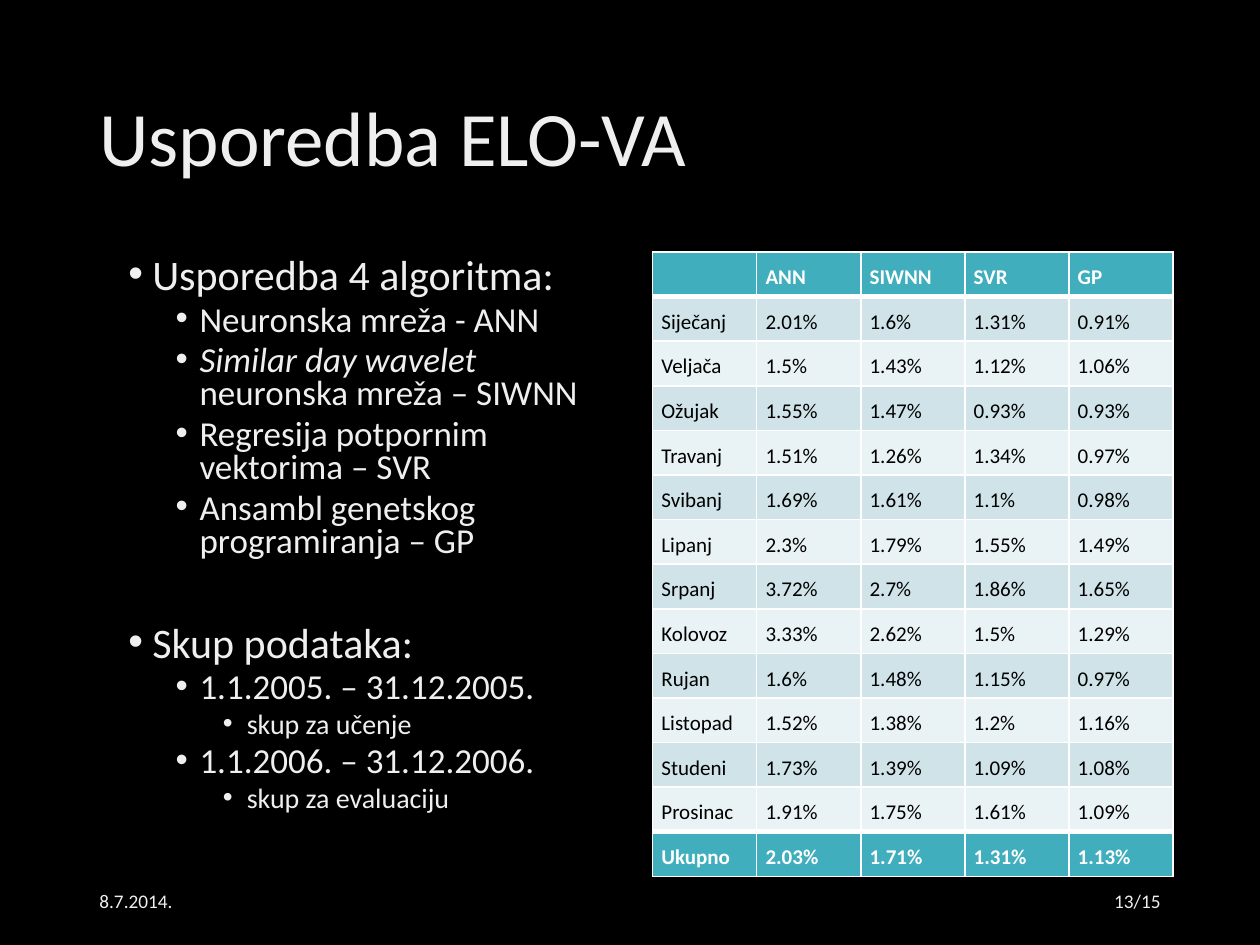
from dataclasses import dataclass

from lxml import etree
from pptx import Presentation
from pptx.dml.color import RGBColor
from pptx.enum.text import MSO_ANCHOR, PP_ALIGN
from pptx.oxml.ns import qn
from pptx.util import Inches, Pt

LEFT, RIGHT, JUSTIFY = PP_ALIGN.LEFT, PP_ALIGN.RIGHT, PP_ALIGN.JUSTIFY
TOP, MIDDLE = MSO_ANCHOR.TOP, MSO_ANCHOR.MIDDLE

BLACK = RGBColor(0x00, 0x00, 0x00)
WHITE = RGBColor(0xFF, 0xFF, 0xFF)
PALE = RGBColor(0xEF, 0xEF, 0xEF)
TEAL = RGBColor(0x41, 0xAE, 0xBD)
BANDS = RGBColor(0xCF, 0xE3, 0xE8), RGBColor(0xE9, 0xF2, 0xF4)
FONT = "Calibri"


@dataclass
class Label:
    text: str
    box: tuple[float, float, float, float]
    size: int
    align: PP_ALIGN = LEFT
    spacing: float = 1.0


@dataclass
class Item:
    text: str
    level: int = 0
    lead: str = ""  # italic opening words
    before: float = 0


LABELS = [
    Label("Usporedba ELO-VA", (0.69, 0.4, 8.62, 1.45), 44, spacing=0.9),
    Label("8.7.2014.", (0.69, 6.95, 2.25, 0.4), 11),
    Label("13/15", (7.06, 6.95, 2.25, 0.4), 11, RIGHT),
]

SIZES = 24, 20, 16
GAPS = 7.5, 3.8, 3.8
STEP, HANG = 0.375, 0.19
ITEMS = [
    Item("Usporedba 4 algoritma:"),
    Item("Neuronska mreža - ANN", 1),
    Item("neuronska mreža – SIWNN", 1, lead="Similar day wavelet "),
    Item("Regresija potpornim vektorima – SVR", 1),
    Item("Ansambl genetskog programiranja – GP", 1),
    Item("Skup podataka:", before=37.4),
    Item("1.1.2005. – 31.12.2005.", 1),
    Item("skup za učenje", 2),
    Item("1.1.2006. – 31.12.2006.", 1),
    Item("skup za evaluaciju", 2),
]

ROWS = [
    ("", "ANN", "SIWNN", "SVR", "GP"),
    ("Siječanj", "2.01%", "1.6%", "1.31%", "0.91%"),
    ("Veljača", "1.5%", "1.43%", "1.12%", "1.06%"),
    ("Ožujak", "1.55%", "1.47%", "0.93%", "0.93%"),
    ("Travanj", "1.51%", "1.26%", "1.34%", "0.97%"),
    ("Svibanj", "1.69%", "1.61%", "1.1%", "0.98%"),
    ("Lipanj", "2.3%", "1.79%", "1.55%", "1.49%"),
    ("Srpanj", "3.72%", "2.7%", "1.86%", "1.65%"),
    ("Kolovoz", "3.33%", "2.62%", "1.5%", "1.29%"),
    ("Rujan", "1.6%", "1.48%", "1.15%", "0.97%"),
    ("Listopad", "1.52%", "1.38%", "1.2%", "1.16%"),
    ("Studeni", "1.73%", "1.39%", "1.09%", "1.08%"),
    ("Prosinac", "1.91%", "1.75%", "1.61%", "1.09%"),
    ("Ukupno", "2.03%", "1.71%", "1.31%", "1.13%"),
]


def apply(target, values: dict) -> None:
    for name, value in values.items():
        setattr(target, name, value)


def add_run(para, text: str, size: int, color: RGBColor, **style) -> None:
    run = para.add_run()
    run.text = text
    apply(run.font, {"name": FONT, "size": Pt(size), **style})
    run.font.color.rgb = color


def add_frame(slide, box: tuple, anchor: MSO_ANCHOR):
    frame = slide.shapes.add_textbox(*map(Inches, box)).text_frame
    apply(frame, {"word_wrap": True, "vertical_anchor": anchor})
    return frame


def add_label(slide, label: Label) -> None:
    para = add_frame(slide, label.box, MIDDLE).paragraphs[0]
    apply(para, {"alignment": label.align, "line_spacing": label.spacing})
    add_run(para, label.text, label.size, PALE)


def add_list(slide, items: list[Item]) -> None:
    frame = add_frame(slide, (0.92, 2, 4.12, 4.95), TOP)
    for n, item in enumerate(items):
        para = frame.add_paragraph() if n else frame.paragraphs[0]
        gap = item.before or GAPS[item.level]
        apply(para, {"level": item.level, "line_spacing": 0.8,
                     "space_before": Pt(gap)})
        props = para._p.get_or_add_pPr()
        props.set("marL", str(Inches(HANG + STEP * item.level)))
        props.set("indent", str(-Inches(HANG)))
        etree.SubElement(props, qn("a:buFont"), typeface="Arial")
        etree.SubElement(props, qn("a:buChar"), char="•")
        size = SIZES[item.level]
        if item.lead:
            add_run(para, item.lead, size, PALE, italic=True)
        add_run(para, item.text, size, PALE)


def add_borders(cell, widths: dict[str, int]) -> None:
    props = cell._tc.get_or_add_tcPr()
    for n, (side, width) in enumerate(widths.items()):
        line = etree.Element(qn(f"a:ln{side}"), w=str(Pt(width)))
        fill = etree.SubElement(line, qn("a:solidFill"))
        etree.SubElement(fill, qn("a:srgbClr"), val=str(WHITE))
        props.insert(n, line)


def add_grid(slide, rows: list[tuple]) -> None:
    count, last = len(rows), len(rows) - 1
    box = map(Inches, (5.18, 2, 4.13, 4.96))
    table = slide.shapes.add_table(count, len(rows[0]), *box).table
    for r, row in enumerate(rows):
        table.rows[r].height = Inches(4.96 / count)
        strong = r in (0, last)
        for c, text in enumerate(row):
            cell = table.cell(r, c)
            apply(cell, {"margin_left": Inches(0.07), "margin_top": 0,
                         "margin_right": Inches(0.07), "margin_bottom": 0})
            cell.fill.solid()
            cell.fill.fore_color.rgb = TEAL if strong else BANDS[(r - 1) % 2]
            # Thick rules below the header and above the total
            add_borders(cell, {"L": 1, "R": 1, "T": 3 if r in (1, last) else 1,
                               "B": 3 if r in (0, last - 1) else 1})
            if text:
                para = cell.text_frame.paragraphs[0]
                apply(para, {"alignment": JUSTIFY, "line_spacing": 1.5,
                             "space_before": Pt(6)})
                add_run(para, text, 12, WHITE if strong else BLACK, bold=strong)


def main() -> None:
    deck = Presentation()
    apply(deck, {"slide_width": Inches(10), "slide_height": Inches(7.5)})
    slide = deck.slides.add_slide(deck.slide_layouts[6])
    slide.background.fill.solid()
    slide.background.fill.fore_color.rgb = BLACK

    # Title, date and page number
    for label in LABELS:
        add_label(slide, label)

    # Algorithms and data on the left, monthly errors on the right
    add_list(slide, ITEMS)
    add_grid(slide, ROWS)
    deck.save("out.pptx")


if __name__ == "__main__":
    main()
